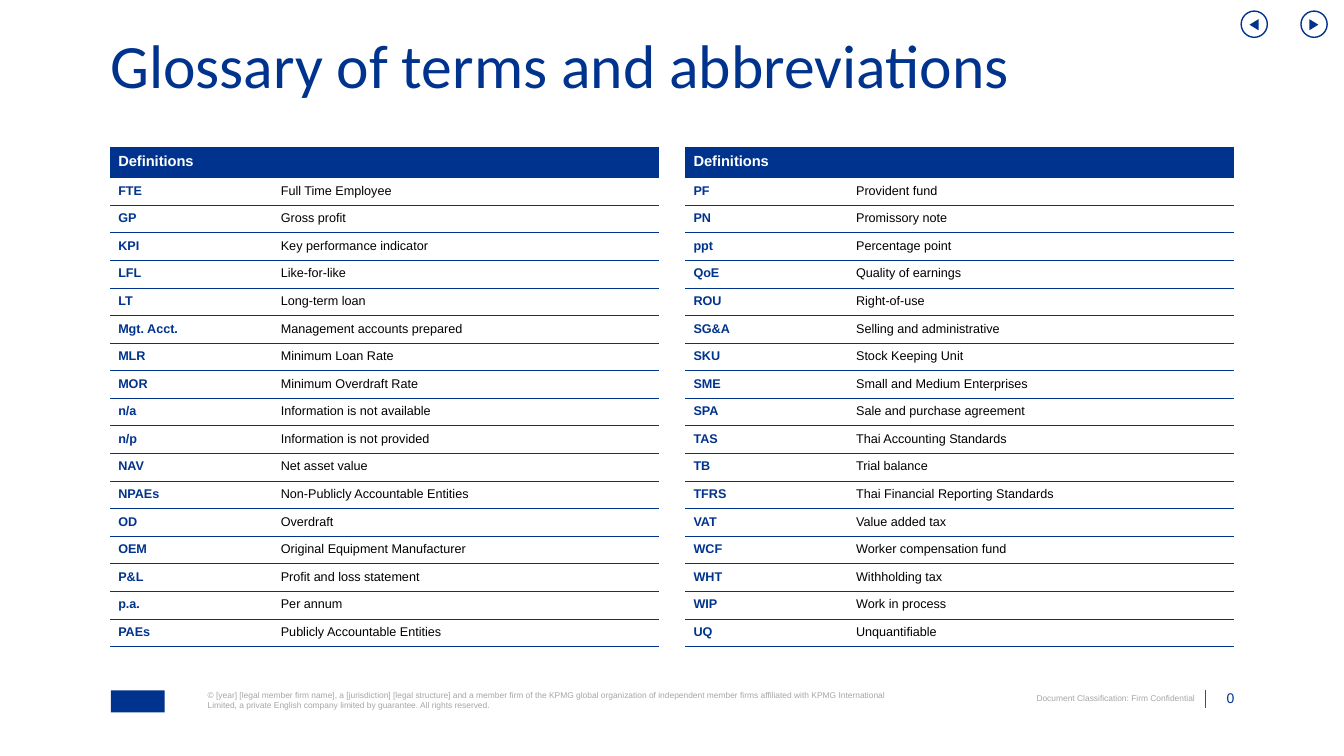
from dataclasses import dataclass

from lxml.etree import SubElement
from pptx import Presentation
from pptx.dml.color import RGBColor
from pptx.enum.shapes import MSO_CONNECTOR, MSO_SHAPE
from pptx.enum.text import MSO_ANCHOR, MSO_AUTO_SIZE, PP_ALIGN
from pptx.oxml import parse_xml
from pptx.oxml.ns import nsdecls, qn
from pptx.util import Inches, Pt


@dataclass(frozen=True)
class Theme:
    navy: str = "00338D"
    blue: str = "1E49E2"
    gray: str = "A6A6A6"
    black: str = "000000"
    white: str = "FFFFFF"
    head: str = "Calibri"
    body: str = "Arial"
    title: float = 44
    band: float = 10.5
    cell: float = 9
    page: float = 10
    note: float = 6
    rule: float = 0.75


LEFT = [
    ("FTE", "Full Time Employee"),
    ("GP", "Gross profit"),
    ("KPI", "Key performance indicator"),
    ("LFL", "Like-for-like"),
    ("LT", "Long-term loan"),
    ("Mgt. Acct.", "Management accounts prepared"),
    ("MLR", "Minimum Loan Rate"),
    ("MOR", "Minimum Overdraft Rate"),
    ("n/a", "Information is not available"),
    ("n/p", "Information is not provided"),
    ("NAV", "Net asset value"),
    ("NPAEs", "Non-Publicly Accountable Entities"),
    ("OD", "Overdraft"),
    ("OEM", "Original Equipment Manufacturer"),
    ("P&L", "Profit and loss statement"),
    ("p.a.", "Per annum"),
    ("PAEs", "Publicly Accountable Entities"),
]
RIGHT = [
    ("PF", "Provident fund"),
    ("PN", "Promissory note"),
    ("ppt", "Percentage point"),
    ("QoE", "Quality of earnings"),
    ("ROU", "Right-of-use"),
    ("SG&A", "Selling and administrative"),
    ("SKU", "Stock Keeping Unit"),
    ("SME", "Small and Medium Enterprises"),
    ("SPA", "Sale and purchase agreement"),
    ("TAS", "Thai Accounting Standards"),
    ("TB", "Trial balance"),
    ("TFRS", "Thai Financial Reporting Standards"),
    ("VAT", "Value added tax"),
    ("WCF", "Worker compensation fund"),
    ("WHT", "Withholding tax"),
    ("WIP", "Work in process"),
    ("UQ", "Unquantifiable"),
]
LEGAL = (
    "© [year] [legal member firm name], a [jurisdiction] [legal structure] and a member firm "
    "of the KPMG global organization of independent member firms affiliated with KPMG "
    "International Limited, a private English company limited by guarantee. All rights reserved."
)


def apply(item, **values):
    for name, value in values.items():
        setattr(item, name, value)


class Page:
    """Draws on one slide; lengths are percent of its width and height."""

    def __init__(self, deck, theme):
        self.theme = theme
        self.wide, self.high = deck.slide_width / 100, deck.slide_height / 100
        self.slide = deck.slides.add_slide(deck.slide_layouts[5])
        self.shapes = self.slide.shapes

    def box(self, x, y, w, h):
        return (round(x * self.wide), round(y * self.high),
                round(w * self.wide), round(h * self.high))

    def label(self, frame, text, size, color, face=None, bold=False, **form):
        frame.text = text
        para = frame.paragraphs[0]
        apply(para, **form)
        font = para.runs[0].font
        apply(font, name=face or self.theme.body, size=Pt(size), bold=bold)
        font.color.rgb = RGBColor.from_string(color)

    def bare(self, frame, **form):
        """Remove the frame's insets and wrap its text."""
        apply(frame, margin_left=0, margin_top=0, margin_right=0, margin_bottom=0,
              word_wrap=True, **form)

    def title(self, text, spot):
        shape = self.shapes.title
        apply(shape, **dict(zip(("left", "top", "width", "height"), self.box(*spot))))
        self.bare(shape.text_frame, vertical_anchor=MSO_ANCHOR.TOP,
                  auto_size=MSO_AUTO_SIZE.NONE)
        self.label(shape.text_frame, text, self.theme.title, self.theme.navy,
                   self.theme.head, alignment=PP_ALIGN.LEFT, line_spacing=0.7)

    def text(self, text, spot, size, color, align=PP_ALIGN.LEFT, **form):
        frame = self.shapes.add_textbox(*self.box(*spot)).text_frame
        self.bare(frame, **form)
        self.label(frame, text, size, color, alignment=align)

    def shape(self, kind, spot, fill=None, line=None, turn=0):
        shape = self.shapes.add_shape(kind, *self.box(*spot))
        shape.shadow.inherit = False
        shape.rotation = turn
        if fill:
            shape.fill.solid()
            shape.fill.fore_color.rgb = RGBColor.from_string(fill)
        else:
            shape.fill.background()
        if line:
            shape.line.color.rgb = RGBColor.from_string(line)
            shape.line.width = Pt(1)
        else:
            shape.line.fill.background()

    def rule(self, x, top, end, color):
        x, top, _, end = self.box(x, top, 0, end)
        line = self.shapes.add_connector(MSO_CONNECTOR.STRAIGHT, x, top, x, end)
        line.line.color.rgb = RGBColor.from_string(color)
        line.line.width = Pt(0.5)
        SubElement(line._element.spPr, qn("a:effectLst"))

    def edge(self, cell):
        """Rule the cell above and below, with open sides."""
        rule = f'<a:solidFill><a:srgbClr val="{self.theme.navy}"/></a:solidFill>'
        props = cell._tc.get_or_add_tcPr()
        for spot, side in enumerate("LRTB"):
            ink = rule if side in "TB" else "<a:noFill/>"
            props.insert(spot, parse_xml(
                f'<a:ln{side} {nsdecls("a")} w="{Pt(self.theme.rule)}">{ink}</a:ln{side}>'))

    def table(self, head, terms, x, y, cols, top, step):
        theme = self.theme
        spot = self.box(x, y, sum(cols), top + step * len(terms))
        table = self.shapes.add_table(len(terms) + 1, len(cols), *spot).table
        apply(table, first_row=False, horz_banding=False)
        for col, size in zip(table.columns, cols):
            col.width = round(size * self.wide)
        for i, row in enumerate(table.rows):
            row.height = round((step if i else top) * self.high)
        for cell in table.iter_cells():
            apply(cell, margin_left=Inches(0.08), margin_right=Inches(0.08),
                  margin_top=Inches(0.06), margin_bottom=Inches(0.06))
            cell.fill.background()
            self.edge(cell)
        band = table.cell(0, 0)
        band.merge(table.cell(0, len(cols) - 1))
        band.fill.solid()
        band.fill.fore_color.rgb = RGBColor.from_string(theme.navy)
        self.label(band.text_frame, head, theme.band, theme.white, bold=True)
        for i, (term, sense) in enumerate(terms, 1):
            self.label(table.cell(i, 0).text_frame, term, theme.cell, theme.navy, bold=True)
            self.label(table.cell(i, 1).text_frame, sense, theme.cell, theme.black)

    def button(self, x, turn):
        """Draw a ringed arrow that points the way of the turn."""
        self.shape(MSO_SHAPE.ISOSCELES_TRIANGLE, (x + 0.54, 2.67, 0.83, 1.2),
                   fill=self.theme.navy, turn=turn)
        self.shape(MSO_SHAPE.OVAL, (x, 1.47, 1.95, 3.47), line=self.theme.navy)


def main():
    deck = Presentation()
    apply(deck, slide_width=Inches(13.33), slide_height=Inches(7.5))
    theme = Theme()
    page = Page(deck, theme)
    foot = 91.33

    page.title("Glossary of terms and abbreviations", (8.2, 6.27, 83.6, 7.73))
    for x, terms in ((8.2, LEFT), (51, RIGHT)):
        page.table("Definitions", terms, x, 19.5, (12.1, 28.7), 4, 3.65)
    for x, turn in ((92.35, 270), (96.8, 90)):
        page.button(x, turn)

    page.shape(MSO_SHAPE.RECTANGLE, (8.25, foot, 4, 2.9), fill=theme.navy)
    page.text(LEGAL, (15.45, foot, 52.06, 2.67), theme.note, theme.gray,
              auto_size=MSO_AUTO_SIZE.SHAPE_TO_FIT_TEXT)
    page.text("Document Classification: Firm Confidential", (73.6, 91.73, 15.3, 1.33),
              theme.note, theme.gray, PP_ALIGN.RIGHT,
              auto_size=MSO_AUTO_SIZE.SHAPE_TO_FIT_TEXT)
    page.rule(89.65, foot, 93.6, theme.blue)
    page.text("0", (89.8, foot, 2.03, 2.13), theme.page, theme.navy, PP_ALIGN.RIGHT,
              vertical_anchor=MSO_ANCHOR.BOTTOM)
    deck.save("out.pptx")


if __name__ == "__main__":
    main()
